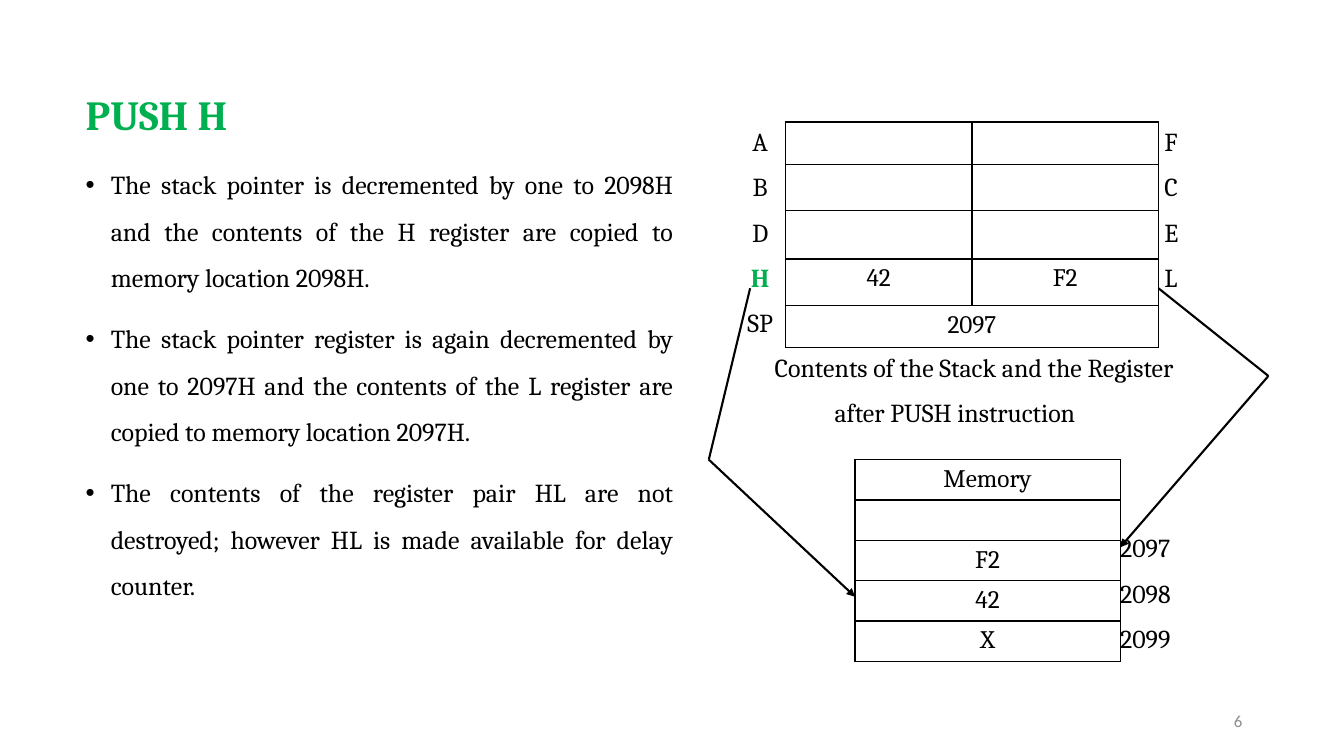
import pptx
import pptx.dml.color
import pptx.enum.shapes
import pptx.enum.text
import pptx.oxml
import pptx.oxml.ns
import pptx.util
from lxml import etree

Inches = pptx.util.Inches
ALIGN = pptx.enum.text.PP_ALIGN
ANCHOR = pptx.enum.text.MSO_ANCHOR
qn = pptx.oxml.ns.qn
BLACK, GREEN, GREY, WHITE = "000000", "00B050", "8C8C8C", "FFFFFF"


def color(hex_string):
    return pptx.dml.color.RGBColor.from_string(hex_string)


def write(frame, text, size=18.5, align=ALIGN.LEFT, hex_color=BLACK, bold=False, font="Cambria"):
    frame.text = text
    frame.word_wrap = True
    for paragraph in frame.paragraphs:
        paragraph.alignment = align
        for run in paragraph.runs:
            run.font.name = font
            run.font.size = pptx.util.Pt(size)
            run.font.bold = bold
            run.font.color.rgb = color(hex_color)


presentation = pptx.Presentation()
presentation.slide_width = Inches(13.33)
presentation.slide_height = Inches(7.5)
slide = presentation.slides.add_slide(presentation.slide_layouts[5])

# Title
title = slide.shapes.title
title.left, title.top, title.width, title.height = Inches(0.75), Inches(0.59), Inches(6.02), Inches(0.85)
write(title.text_frame, "PUSH H", 29.6, ALIGN.LEFT, GREEN, True)
title.text_frame.vertical_anchor = ANCHOR.TOP
title.text_frame.auto_size = pptx.enum.text.MSO_AUTO_SIZE.NONE
title.text_frame.paragraphs[0].line_spacing = 1.5

# Bulleted explanation
explanation = slide.shapes.add_textbox(Inches(0.75), Inches(1.47), Inches(6.02), Inches(4.7))
write(explanation.text_frame, "\n".join([
    "The stack pointer is decremented by one to 2098H and the contents of the H register "
    "are copied to memory location 2098H.",
    "The stack pointer register is again decremented by one to 2097H and the contents of "
    "the L register are copied to memory location 2097H.",
    "The contents of the register pair HL are not destroyed; however HL is made available "
    "for delay counter.",
]), align=ALIGN.JUSTIFY)
for index, paragraph in enumerate(explanation.text_frame.paragraphs):
    paragraph.line_spacing = 1.5
    paragraph.space_before = pptx.util.Pt(10 if index else 0)
    properties = paragraph._p.get_or_add_pPr()
    properties.set("marL", str(Inches(0.25)))
    properties.set("indent", str(-Inches(0.25)))
    etree.SubElement(properties, qn("a:buFont")).set("typeface", "Arial")
    etree.SubElement(properties, qn("a:buChar")).set("char", "•")

# Register names, captions and memory addresses: text, left, middle, width, alignment
LABEL_PITCH = 0.45
labels = []
for row, name in enumerate(["A", "B", "D", "H", "SP"]):
    labels.append((name, 7.29, 1.4 + row * LABEL_PITCH, 0.5, ALIGN.CENTER))
for row, name in enumerate(["F", "C", "E", "L"]):
    labels.append((name, 11.55, 1.4 + row * LABEL_PITCH, 0.4, ALIGN.LEFT))
labels.append(("Contents of the Stack and the Register", 7.41, 3.64, 4.5, ALIGN.CENTER))
labels.append(("after PUSH instruction", 7.97, 4.09, 3, ALIGN.CENTER))
for row, address in enumerate(["2097", "2098", "2099"]):
    labels.append((address, 11.11, 5.43 + row * LABEL_PITCH, 0.8, ALIGN.LEFT))

for text, left, middle, width, align in labels:
    label = slide.shapes.add_textbox(Inches(left), Inches(middle - 0.2), Inches(width), Inches(0.4))
    frame = label.text_frame
    frame.margin_left = frame.margin_right = frame.margin_top = frame.margin_bottom = 0
    frame.vertical_anchor = ANCHOR.MIDDLE
    is_source = text == "H"
    write(frame, text, align=align, hex_color=GREEN if is_source else BLACK, bold=is_source)

# Register table and memory table: left, top, column width, row heights, rows
tables = [
    (7.79, 1.21, 1.85, [0.42, 0.46, 0.48, 0.46, 0.42],
     [["", ""], ["", ""], ["", ""], ["42", "F2"], ["2097", ""]]),
    (8.48, 4.56, 2.63, [0.4] * 5, [["Memory"], [""], ["F2"], ["42"], ["X"]]),
]
for left, top, column_width, row_heights, rows in tables:
    columns = len(rows[0])
    table = slide.shapes.add_table(
        len(rows), columns, Inches(left), Inches(top),
        Inches(column_width * columns), Inches(sum(row_heights))).table
    table.first_row = table.horz_banding = False
    for column in table.columns:
        column.width = Inches(column_width)
    for row_index, row in enumerate(rows):
        table.rows[row_index].height = Inches(row_heights[row_index])
        for column_index, text in enumerate(row):
            cell = table.cell(row_index, column_index)
            write(cell.text_frame, text, 18, ALIGN.CENTER)
            cell_properties = cell._tc.get_or_add_tcPr()
            for side in ("a:lnL", "a:lnR", "a:lnT", "a:lnB"):
                border = etree.SubElement(cell_properties, qn(side), w=str(pptx.util.Pt(1)))
                fill = etree.SubElement(border, qn("a:solidFill"))
                etree.SubElement(fill, qn("a:srgbClr"), val=BLACK)
            cell.fill.solid()
            cell.fill.fore_color.rgb = color(WHITE)
    if columns == 2:
        table.cell(4, 0).merge(table.cell(4, 1))

# Routes from registers L and H to memory, each ending in an arrowhead
routes = [
    [(11.49, 2.86), (12.58, 3.73), (11.11, 5.43)],
    [(7.44, 2.86), (7.03, 4.56), (8.48, 5.92)],
]
for route in routes:
    for start, end in zip(route, route[1:]):
        connector = slide.shapes.add_connector(
            pptx.enum.shapes.MSO_CONNECTOR.STRAIGHT,
            Inches(start[0]), Inches(start[1]), Inches(end[0]), Inches(end[1]))
        connector.line.color.rgb = color(BLACK)
        connector.line.width = pptx.util.Pt(1.5)
        if end == route[-1]:
            etree.SubElement(connector.line._get_or_add_ln(), qn("a:tailEnd"), type="triangle")
        etree.SubElement(connector._element.spPr, qn("a:effectLst"))

# Page number
page_number = slide.shapes.add_textbox(Inches(9.42), Inches(6.95), Inches(3), Inches(0.4))
write(page_number.text_frame, "6", 12, ALIGN.RIGHT, GREY, font="Calibri")
page_number.text_frame.vertical_anchor = ANCHOR.MIDDLE

presentation.save("out.pptx")
